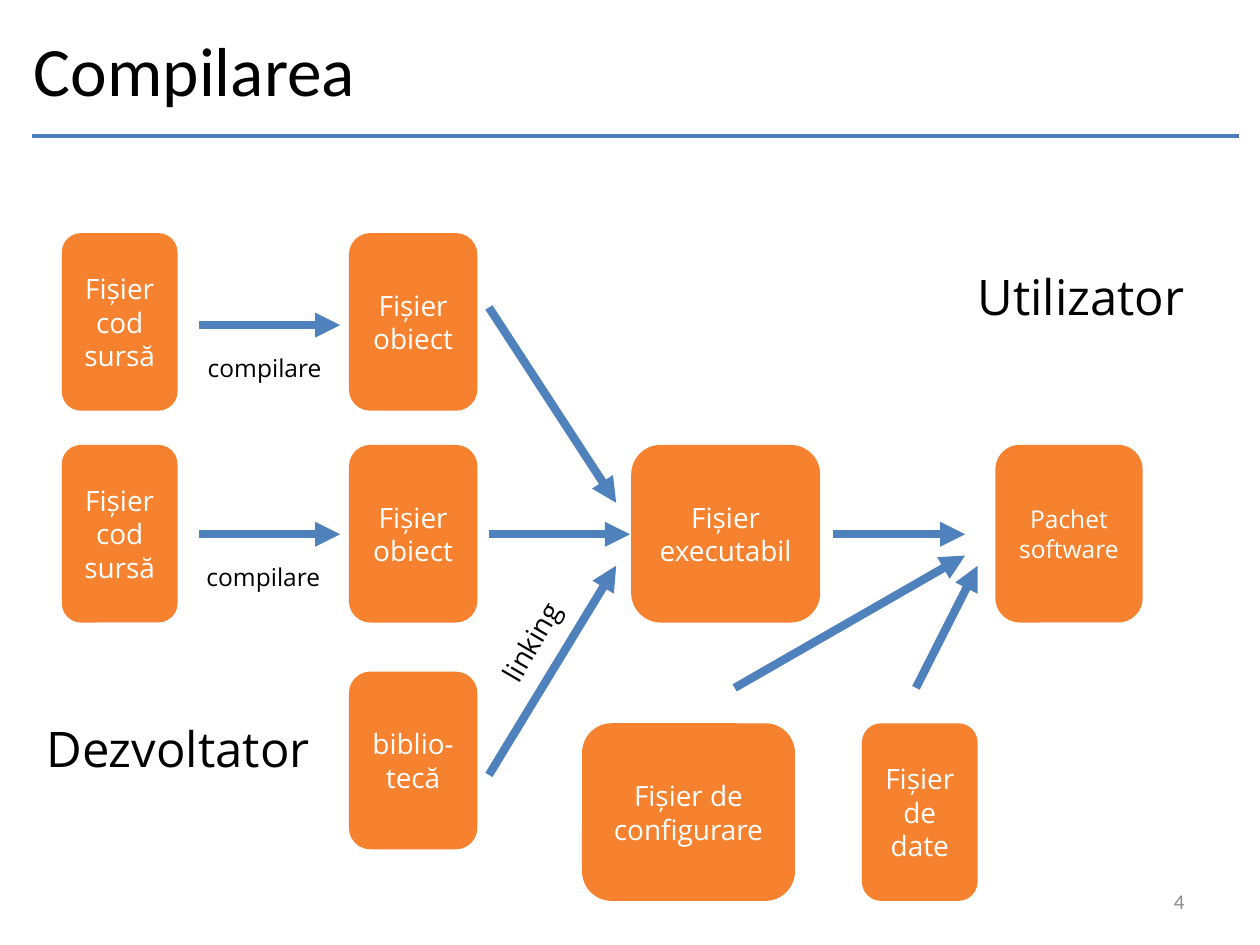
from pptx import Presentation
from pptx.dml.color import RGBColor
from pptx.enum.shapes import MSO_CONNECTOR, MSO_SHAPE
from pptx.enum.text import MSO_ANCHOR, PP_ALIGN
from pptx.oxml.ns import qn
from pptx.util import Pt
from lxml.etree import SubElement

COLORS = {"box": "F6822F", "arrow": "4F81BD", "rule": "4B7EBC",
          "text": "000000", "box_text": "FFFFFF", "number": "8C8C8C"}
BODY, HEAD = "Open Sans", "Calibri"

# Grid: columns are (left, width), rows are tops
BOX_H = 101.5
COLS = {"source": (35.3, 66.2), "object": (199.4, 73.4),
        "exe": (360.7, 108), "package": (568.8, 84.2),
        "config": (332.6, 121.7), "data": (492.5, 66.2)}
ROWS = {"top": 133.2, "middle": 254.2, "library": 383.8, "bottom": 413.3}

BOXES = [  # text, column, row, size
    ("Fișier cod sursă", "source", "top", 16),
    ("Fișier cod sursă", "source", "middle", 16),
    ("biblio-tecă", "object", "library", 16),
    ("Fișier obiect", "object", "middle", 16),
    ("Fișier obiect", "object", "top", 16),
    ("Fișier executabil", "exe", "middle", 16),
    ("Pachet software", "package", "middle", 14),
    ("Fișier de configurare", "config", "bottom", 16),
    ("Fișier de date", "data", "bottom", 16),
]
ARROWS = [  # x1, y1, x2, y2
    (113.8, 185.8, 194.4, 185.8),
    (113.8, 305.3, 194.4, 305.3),
    (279.4, 305.3, 360, 305.3),
    (279.4, 175.7, 352.1, 287.3),
    (279.4, 442.8, 352.1, 323.3),
    (475.9, 305.3, 551.5, 305.3),
    (523.4, 393.1, 558.7, 323.3),
    (419.8, 393.1, 551.5, 317.5),
]
LABELS = [  # text, left, top, width, height, size, rotation
    ("compilare", 111.6, 198, 92.2, 24.5, 14, 0),
    ("compilare", 110.9, 317.5, 92.2, 24.5, 14, 0),
    ("linking", 265.7, 342.7, 87.8, 26.6, 16, 300.3),
    ("Dezvoltator", 19.4, 406.8, 200.2, 41, 28, 0),
    ("Utilizator", 551.5, 149, 200.2, 41, 28, 0),
]


def write(sp, text, size, color="text", font=BODY, align=PP_ALIGN.LEFT,
          anchor=MSO_ANCHOR.TOP):
    tf = sp.text_frame
    tf.word_wrap = True
    tf.vertical_anchor = anchor
    tf.margin_left = tf.margin_right = Pt(7.2)
    tf.margin_top = tf.margin_bottom = Pt(3.6)
    p = tf.paragraphs[0]
    p.alignment = align
    r = p.add_run()
    r.text = text
    r.font.size = Pt(size)
    r.font.name = font
    r.font.color.rgb = RGBColor.from_string(COLORS[color])


def add_line(s, ends, color, width, arrow=False):
    line = s.shapes.add_connector(MSO_CONNECTOR.STRAIGHT, *map(Pt, ends))
    line.line.color.rgb = RGBColor.from_string(COLORS[color])
    line.line.width = Pt(width)
    if arrow:
        SubElement(line.line._get_or_add_ln(), qn("a:tailEnd"), type="triangle")
    SubElement(line._element.spPr, qn("a:effectLst"))


prs = Presentation()
prs.slide_width, prs.slide_height = Pt(720), Pt(540)
s = prs.slides.add_slide(prs.slide_layouts[5])

# Title, rule and slide number
add_line(s, (18, 77.8, 707.8, 77.8), "rule", 2)
title = s.shapes.title
title.left, title.top, title.width, title.height = map(Pt, (12.2, 12.2, 588.2, 54))
write(title, "Compilarea", 39.6, font=HEAD, anchor=MSO_ANCHOR.MIDDLE)
number = s.shapes.add_textbox(*map(Pt, (516.2, 500.4, 167.8, 28.8)))
write(number, "4", 12, color="number", font=HEAD, align=PP_ALIGN.RIGHT,
      anchor=MSO_ANCHOR.MIDDLE)

# File boxes
for text, col, row, size in BOXES:
    left, width = COLS[col]
    sp = s.shapes.add_shape(MSO_SHAPE.ROUNDED_RECTANGLE, Pt(left), Pt(ROWS[row]),
                            Pt(width), Pt(BOX_H))
    sp.shadow.inherit = False
    sp.fill.solid()
    sp.fill.fore_color.rgb = RGBColor.from_string(COLORS["box"])
    sp.line.fill.background()
    write(sp, text, size, color="box_text", align=PP_ALIGN.CENTER,
          anchor=MSO_ANCHOR.MIDDLE)

# Arrows
for ends in ARROWS:
    add_line(s, ends, "arrow", 4.75, arrow=True)

# Labels
for text, left, top, width, height, size, rotation in LABELS:
    sp = s.shapes.add_textbox(Pt(left), Pt(top), Pt(width), Pt(height))
    sp.rotation = rotation
    write(sp, text, size)

prs.save("out.pptx")
